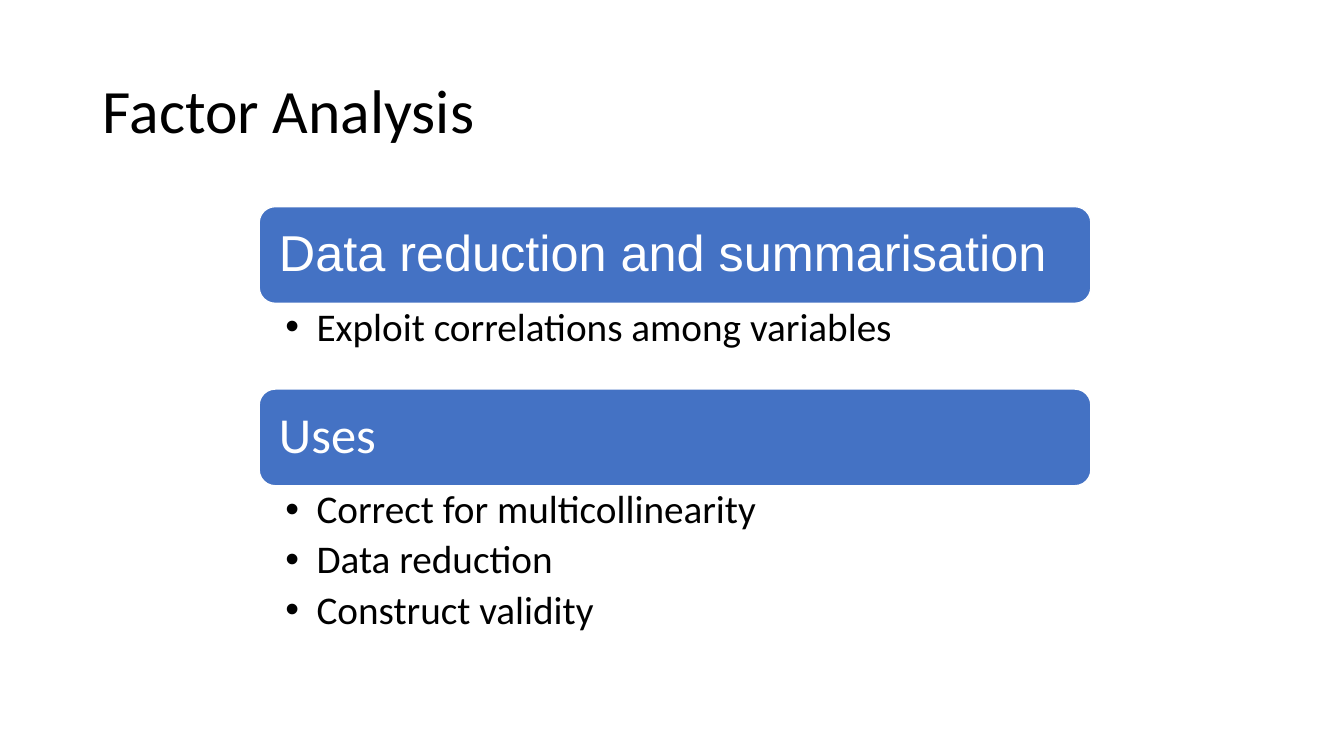
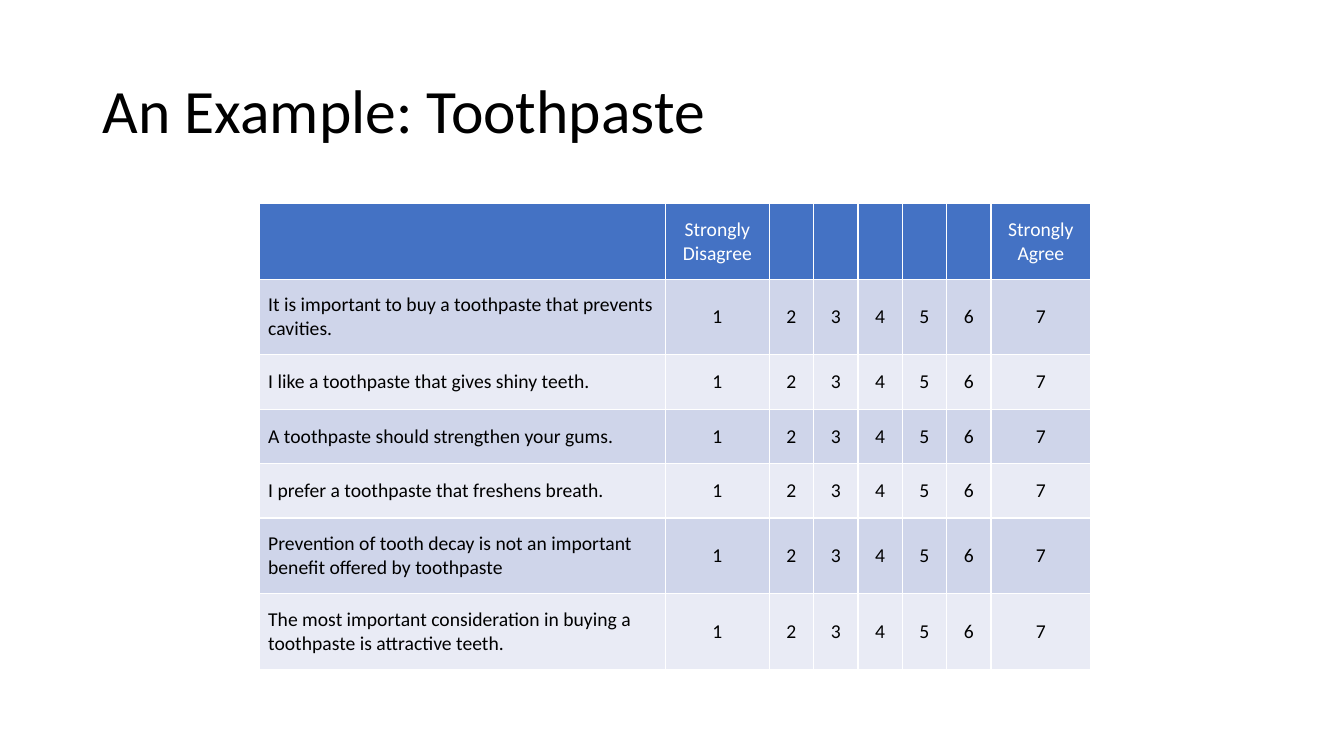
import dataclasses

import lxml.etree
import pptx
import pptx.dml.color
import pptx.enum.shapes
import pptx.enum.text
import pptx.oxml.ns
import pptx.util

Inches = pptx.util.Inches
Pt = pptx.util.Pt
ALIGN = pptx.enum.text.PP_ALIGN
ANCHOR = pptx.enum.text.MSO_ANCHOR
qn = pptx.oxml.ns.qn


@dataclasses.dataclass(frozen=True)
class Theme:
    blue: str = "4472C4"
    dark: str = "CFD5EA"
    light: str = "E9EBF5"
    white: str = "FFFFFF"
    black: str = "000000"
    face: str = "Calibri"
    title: int = 44
    head: int = 36
    body: int = 28
    cell: int = 14
    left: float = 2.57
    width: float = 8.25


THEME = Theme()

TOPICS = [
    ("Data reduction and summarisation", "Arial", 0.85,
     ["Exploit correlations among variables"]),
    ("Uses", THEME.face, 1.57,
     ["Correct for multicollinearity", "Data reduction",
      "Construct validity"]),
]
ITEMS = [
    ("It is important to buy a toothpaste that prevents cavities.", 0.75),
    ("I like a toothpaste that gives shiny teeth.", 0.54),
    ("A toothpaste should strengthen your gums.", 0.54),
    ("I prefer a toothpaste that freshens breath.", 0.54),
    ("Prevention of tooth decay is not an important benefit offered by "
     "toothpaste", 0.75),
    ("The most important consideration in buying a toothpaste is "
     "attractive teeth.", 0.75),
]
SCALE = ["1", "2", "3", "4", "5", "6", "7"]
WIDTHS = [4.03, 1.03] + [0.44] * 5 + [0.99]


def color(code):
    return pptx.dml.color.RGBColor.from_string(code)


def apply(target, values):
    for name, value in values.items():
        setattr(target, name, value)


def place(shape, left, top, width, height):
    apply(shape, {"left": Inches(left), "top": Inches(top),
                  "width": Inches(width), "height": Inches(height)})


def frame(target, anchor, sides, ends):
    """Set the anchor and inner margins of a text frame."""
    apply(target, {
        "word_wrap": True, "vertical_anchor": anchor,
        "margin_left": Inches(sides[0]), "margin_right": Inches(sides[1]),
        "margin_top": Inches(ends), "margin_bottom": Inches(ends)})


def write(para, text, size, tint, face=THEME.face, **values):
    para.text = text
    apply(para, values)
    apply(para.font, {"size": Pt(size), "name": face, "bold": False})
    para.font.color.rgb = color(tint)


def bullet(para):
    props = para._p.get_or_add_pPr()
    apply_xml = {"marL": Inches(0.31), "indent": -Inches(0.31)}
    for name, value in apply_xml.items():
        props.set(name, str(value))
    font = lxml.etree.SubElement(props, qn("a:buFont"))
    font.set("typeface", "Arial")
    lxml.etree.SubElement(props, qn("a:buChar")).set("char", "•")


def add_slide(deck, title):
    slide = deck.slides.add_slide(deck.slide_layouts[5])
    shape = slide.shapes.title
    place(shape, 0.92, 0.4, 11.5, 1.45)
    frame(shape.text_frame, ANCHOR.MIDDLE, (0.1, 0.1), 0.05)
    write(shape.text_frame.paragraphs[0], title, THEME.title, THEME.black,
          alignment=ALIGN.LEFT, line_spacing=0.9)
    return slide


def add_band(slide, top, height, text, face):
    kind = pptx.enum.shapes.MSO_SHAPE.ROUNDED_RECTANGLE
    band = slide.shapes.add_shape(
        kind, Inches(THEME.left), Inches(top), Inches(THEME.width),
        Inches(height))
    band.shadow.inherit = False
    band.fill.solid()
    band.fill.fore_color.rgb = color(THEME.blue)
    band.line.color.rgb = color(THEME.white)
    band.line.width = Pt(1)
    # The rounded corners inset the text area by 0.05 inch.
    frame(band.text_frame, ANCHOR.MIDDLE, (0.15, 0.15), 0.15)
    write(band.text_frame.paragraphs[0], text, THEME.head, THEME.white, face,
          alignment=ALIGN.LEFT, line_spacing=0.9)


def add_list(slide, top, height, lines):
    box = slide.shapes.add_textbox(
        Inches(THEME.left), Inches(top), Inches(THEME.width), Inches(height))
    frame(box.text_frame, ANCHOR.TOP, (0.26, 0.22), 0.04)
    for row, line in enumerate(lines):
        paras = box.text_frame
        para = paras.add_paragraph() if row else paras.paragraphs[0]
        # Spacing elements must come before the bullet elements.
        apply(para, {"line_spacing": 0.9,
                     "space_after": Pt(0.2 * THEME.body)})
        bullet(para)
        write(para, line, THEME.body, THEME.black)


def edge(cell):
    """Draw a thin white border on all four sides of a cell."""
    props = cell._tc.get_or_add_tcPr()
    for side in ("lnL", "lnR", "lnT", "lnB"):
        line = lxml.etree.SubElement(props, qn("a:" + side))
        line.set("w", str(Pt(1)))
        fill = lxml.etree.SubElement(line, qn("a:solidFill"))
        lxml.etree.SubElement(fill, qn("a:srgbClr")).set("val", THEME.white)


def fill_cell(cell, text, fill, tint, align):
    edge(cell)
    cell.fill.solid()
    cell.fill.fore_color.rgb = color(fill)
    apply(cell, {"vertical_anchor": ANCHOR.MIDDLE,
                 "margin_left": Inches(0.09), "margin_right": Inches(0.09),
                 "margin_top": Inches(0.05), "margin_bottom": Inches(0.05)})
    write(cell.text_frame.paragraphs[0], text, THEME.cell, tint,
          alignment=align)


def add_survey(slide, top):
    head = ["", "Strongly Disagree"] + [""] * 5 + ["Strongly Agree"]
    rows = [head] + [[text] + SCALE for text, _ in ITEMS]
    heights = [0.75] + [height for _, height in ITEMS]
    table = slide.shapes.add_table(
        len(rows), len(WIDTHS), Inches(THEME.left), Inches(top),
        Inches(sum(WIDTHS)), Inches(sum(heights))).table
    apply(table, {"first_row": False, "horz_banding": False})
    for column, width in zip(table.columns, WIDTHS):
        column.width = Inches(width)
    for row, height in zip(table.rows, heights):
        row.height = Inches(height)
    for r, texts in enumerate(rows):
        fill = (THEME.dark if r % 2 else THEME.light) if r else THEME.blue
        tint = THEME.black if r else THEME.white
        for c, text in enumerate(texts):
            align = ALIGN.CENTER if c else ALIGN.LEFT
            fill_cell(table.cell(r, c), text, fill, tint, align)


def main():
    deck = pptx.Presentation()
    apply(deck, {"slide_width": Inches(13.33), "slide_height": Inches(7.5)})

    slide = add_slide(deck, "Factor Analysis")
    top, band = 2.05, 0.96
    for text, face, height, lines in TOPICS:
        add_band(slide, top, band, text, face)
        add_list(slide, top + band, height, lines)
        top += band + height

    add_survey(add_slide(deck, "An Example: Toothpaste"), 2.02)
    deck.save("out.pptx")


if __name__ == "__main__":
    main()
